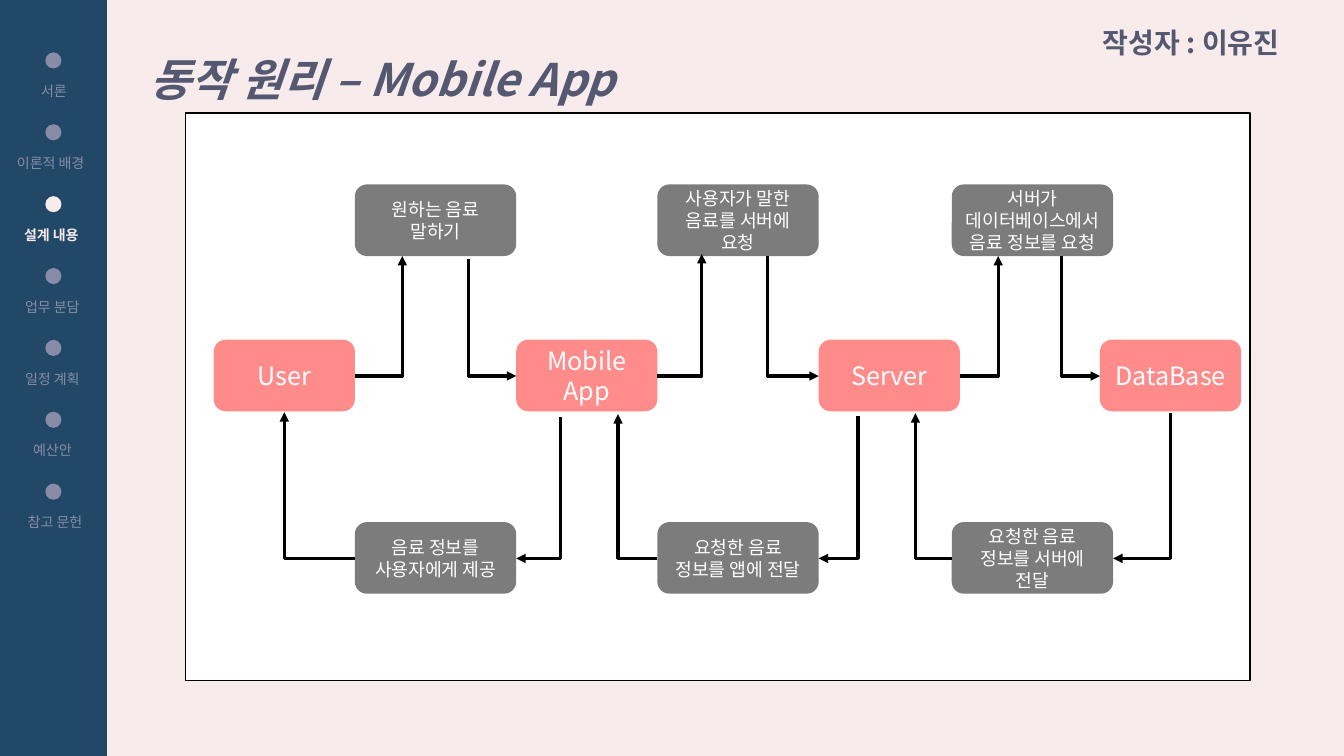
from dataclasses import dataclass

from lxml import etree
from pptx import Presentation
from pptx.dml.color import RGBColor
from pptx.enum import shapes, text
from pptx.oxml.ns import qn
from pptx.util import Inches, Pt

LEFT, CENTER = text.PP_ALIGN.LEFT, text.PP_ALIGN.CENTER


@dataclass(frozen=True)
class Theme:
    font: str = "Noto Sans CJK KR"
    background: str = "F7EBEB"
    sidebar: str = "214867"
    muted: str = "888CA6"
    heading: str = "545871"
    actor: str = "FF8B8B"
    message: str = "7C7C7C"
    white: str = "FFFFFF"
    black: str = "000000"
    nav_size: float = 10
    message_size: float = 13
    actor_size: float = 18
    author_size: float = 20
    title_size: float = 32


@dataclass(frozen=True)
class NavItem:
    label: str
    left: float
    width: float
    align: text.PP_ALIGN = LEFT
    wrap: bool = False
    active: bool = False


@dataclass(frozen=True)
class Node:
    label: str
    left: float


@dataclass(frozen=True)
class Arrow:
    start: tuple[float, float]
    end: tuple[float, float]


THEME = Theme()

NAV = [
    NavItem("서론", 0.22, 0.63, CENTER, wrap=True),
    NavItem("이론적 배경", 0.07, 0.95),
    NavItem("설계 내용", 0.14, 0.81, active=True),
    NavItem("업무 분담", 0.15, 0.81),
    NavItem("일정 계획", 0.15, 0.81),
    NavItem("예산안", 0.23, 0.69, wrap=True),
    NavItem("참고 문헌", 0.14, 0.81, CENTER, wrap=True),
]
NAV_TOP, NAV_PITCH, NAV_LABEL_DROP = 0.52, 0.713, 0.25

REQUEST_TOP, ACTOR_TOP, REPLY_TOP = 1.83, 3.37, 5.18
NODE_HEIGHT, ACTOR_WIDTH, MESSAGE_WIDTH = 0.71, 1.4, 1.6
ACTORS = [Node("User", 2.12), Node("Mobile App", 5.12),
          Node("Server", 8.12), Node("DataBase", 10.91)]
REQUESTS = [Node("원하는 음료\n말하기", 3.52),
            Node("사용자가 말한 음료를 서버에 요청", 6.52),
            Node("서버가 데이터베이스에서 음료 정보를 요청", 9.44)]
REPLIES = [Node("음료 정보를 사용자에게 제공", 3.52),
           Node("요청한 음료 정보를 앱에 전달", 6.52),
           Node("요청한 음료 정보를 서버에 전달", 9.44)]

ACTOR_MID, REPLY_MID = 3.73, 5.54
SIDEWAYS_FIRST = [
    Arrow((3.52, ACTOR_MID), (3.99, 2.54)),
    Arrow((6.52, ACTOR_MID), (6.96, 2.52)),
    Arrow((9.52, ACTOR_MID), (9.9, 2.54)),
    Arrow((9.44, REPLY_MID), (9.08, 4.1)),
    Arrow((6.52, REPLY_MID), (6.13, 4.11)),
    Arrow((3.52, REPLY_MID), (2.82, 4.09)),
]
DOWN_FIRST = [
    Arrow((4.65, 2.57), (5.12, ACTOR_MID)),
    Arrow((7.61, 2.54), (8.12, ACTOR_MID)),
    Arrow((10.53, 2.54), (10.91, ACTOR_MID)),
    Arrow((11.61, 4.1), (11.04, REPLY_MID)),
    Arrow((8.51, 4.13), (8.12, REPLY_MID)),
    Arrow((5.56, 4.14), (5.12, REPLY_MID)),
]


def rgb(color: str) -> RGBColor:
    return RGBColor.from_string(color)


def write(frame, words: str, size: float, color: str, align=LEFT,
          bold: bool = False, italic: bool = False) -> None:
    frame.text = words
    for paragraph in frame.paragraphs:
        paragraph.alignment = align
        for run in paragraph.runs:
            font = run.font
            font.name, font.size = THEME.font, Pt(size)
            font.bold, font.italic = bold, italic
            font.color.rgb = rgb(color)
            east_asian = etree.Element(qn("a:ea"), typeface=THEME.font)
            run._r.rPr.find(qn("a:latin")).addnext(east_asian)


def add_block(slide, kind, left: float, top: float, width: float, height: float,
              fill: str, outline: str | None = None):
    block = slide.shapes.add_shape(
        kind, Inches(left), Inches(top), Inches(width), Inches(height))
    block.shadow.inherit = False
    block.fill.solid()
    block.fill.fore_color.rgb = rgb(fill)
    if outline:
        block.line.color.rgb = rgb(outline)
        block.line.width = Pt(1)
    else:
        block.line.fill.background()
    return block


def add_label(slide, left: float, top: float, width: float, height: float, wrap: bool):
    frame = slide.shapes.add_textbox(
        Inches(left), Inches(top), Inches(width), Inches(height)).text_frame
    frame.word_wrap = wrap
    frame.auto_size = text.MSO_AUTO_SIZE.SHAPE_TO_FIT_TEXT
    return frame


def add_nav(slide) -> None:
    for index, item in enumerate(NAV):
        top = NAV_TOP + index * NAV_PITCH
        color = THEME.background if item.active else THEME.muted
        add_block(slide, shapes.MSO_SHAPE.OVAL, 0.45, top, 0.16, 0.16, color)
        label = add_label(slide, item.left, top + NAV_LABEL_DROP, item.width, 0.27, item.wrap)
        write(label, item.label, THEME.nav_size, color, item.align, bold=item.active)


def add_nodes(slide, nodes: list[Node], top: float, width: float,
              fill: str, size: float) -> None:
    for node in nodes:
        block = add_block(slide, shapes.MSO_SHAPE.ROUNDED_RECTANGLE,
                          node.left, top, width, NODE_HEIGHT, fill)
        block.text_frame.vertical_anchor = text.MSO_ANCHOR.MIDDLE
        write(block.text_frame, node.label, size, THEME.white, CENTER)


def add_arrow(slide, arrow: Arrow, down_first: bool) -> None:
    """Draw a one-bend arrow; a down-first bend is a quarter-turned sideways one."""
    (x1, y1), (x2, y2) = arrow.start, arrow.end
    rotation = 0
    if down_first:
        rightward = x2 > x1
        rotation = 270 if rightward else 90
        mid_x, mid_y = (x1 + x2) / 2, (y1 + y2) / 2
        half_width, half_height = (y2 - y1) / 2, abs(x2 - x1) / 2
        if rightward:
            half_width = -half_width
        x1, x2 = mid_x - half_width, mid_x + half_width
        y1, y2 = mid_y - half_height, mid_y + half_height
    connector = slide.shapes.add_connector(
        shapes.MSO_CONNECTOR.ELBOW, Inches(x1), Inches(y1), Inches(x2), Inches(y2))
    connector.line.color.rgb = rgb(THEME.black)
    connector.line.width = Pt(2.25)
    properties = connector._element.spPr
    properties.find(qn("a:prstGeom")).set("prst", "bentConnector2")
    if rotation:
        properties.find(qn("a:xfrm")).set("rot", str(rotation * 60000))
    etree.SubElement(properties.find(qn("a:ln")), qn("a:tailEnd"), type="triangle")
    etree.SubElement(properties, qn("a:effectLst"))


def add_title(slide) -> None:
    title = slide.shapes.title
    title.left, title.top = Inches(1.38), Inches(0.2)
    title.width, title.height = Inches(5.21), Inches(0.8)
    frame = title.text_frame
    frame.word_wrap = True
    frame.auto_size = text.MSO_AUTO_SIZE.SHAPE_TO_FIT_TEXT
    frame.vertical_anchor = text.MSO_ANCHOR.TOP
    write(frame, "동작 원리 – Mobile App", THEME.title_size, THEME.heading,
          bold=True, italic=True)
    frame.paragraphs[0].line_spacing = 1.5


def main() -> None:
    deck = Presentation()
    deck.slide_width, deck.slide_height = Inches(13.33), Inches(7.5)
    slide = deck.slides.add_slide(deck.slide_layouts[5])
    slide.background.fill.solid()
    slide.background.fill.fore_color.rgb = rgb(THEME.background)

    rectangle = shapes.MSO_SHAPE.RECTANGLE
    add_block(slide, rectangle, 1.84, 1.12, 10.56, 5.63, THEME.white, THEME.black)
    add_block(slide, rectangle, -0.01, 0, 1.07, 7.5, THEME.sidebar)
    add_nav(slide)
    add_title(slide)
    add_nodes(slide, ACTORS, ACTOR_TOP, ACTOR_WIDTH, THEME.actor, THEME.actor_size)
    for nodes, top in ((REQUESTS, REQUEST_TOP), (REPLIES, REPLY_TOP)):
        add_nodes(slide, nodes, top, MESSAGE_WIDTH, THEME.message, THEME.message_size)
    for arrows, down_first in ((SIDEWAYS_FIRST, False), (DOWN_FIRST, True)):
        for arrow in arrows:
            add_arrow(slide, arrow, down_first)
    author = add_label(slide, 10.84, 0.2, 2.15, 0.44, wrap=False)
    author.vertical_anchor = text.MSO_ANCHOR.MIDDLE
    write(author, "작성자 : 이유진", THEME.author_size, THEME.heading, bold=True)
    deck.save("out.pptx")


if __name__ == "__main__":
    main()
